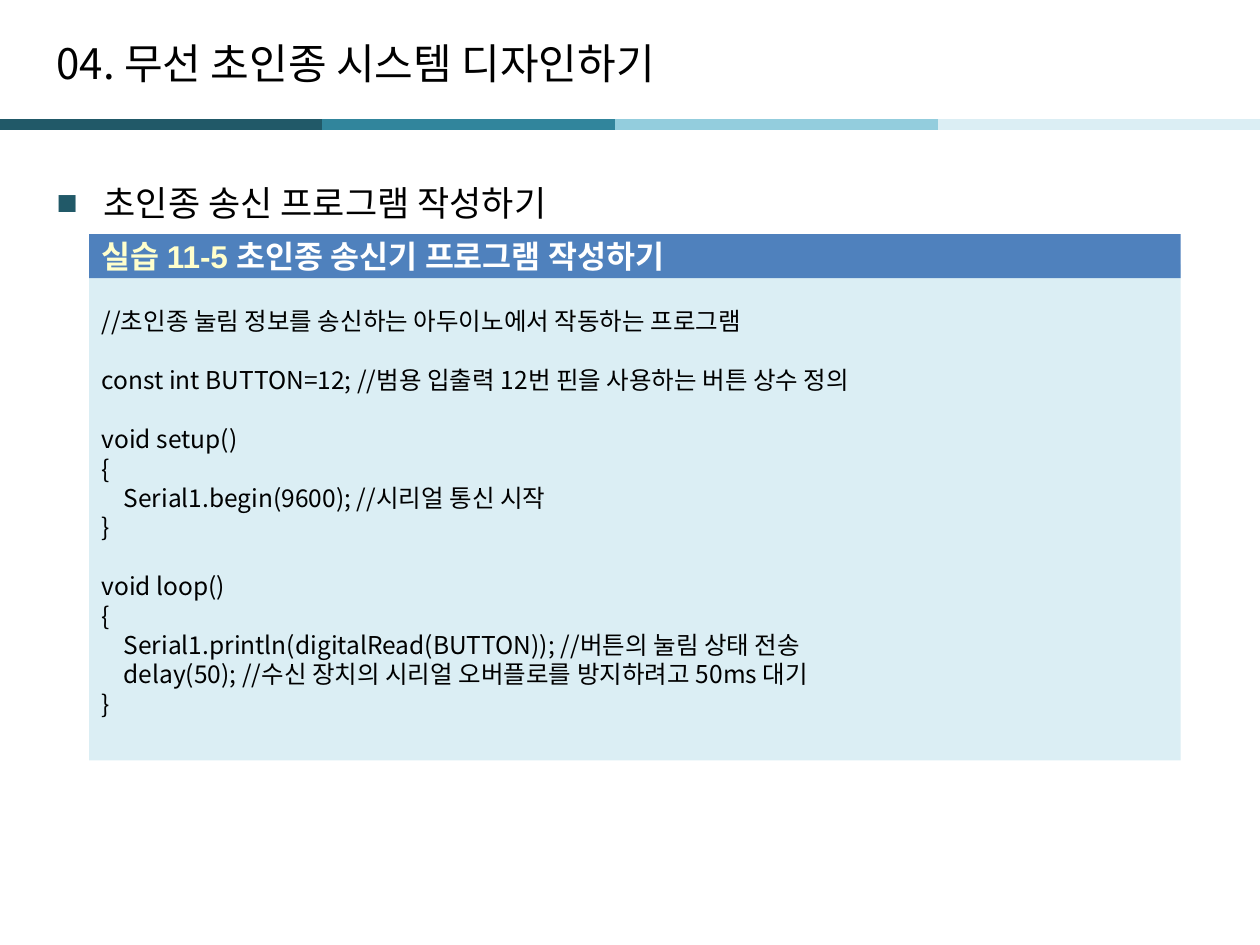
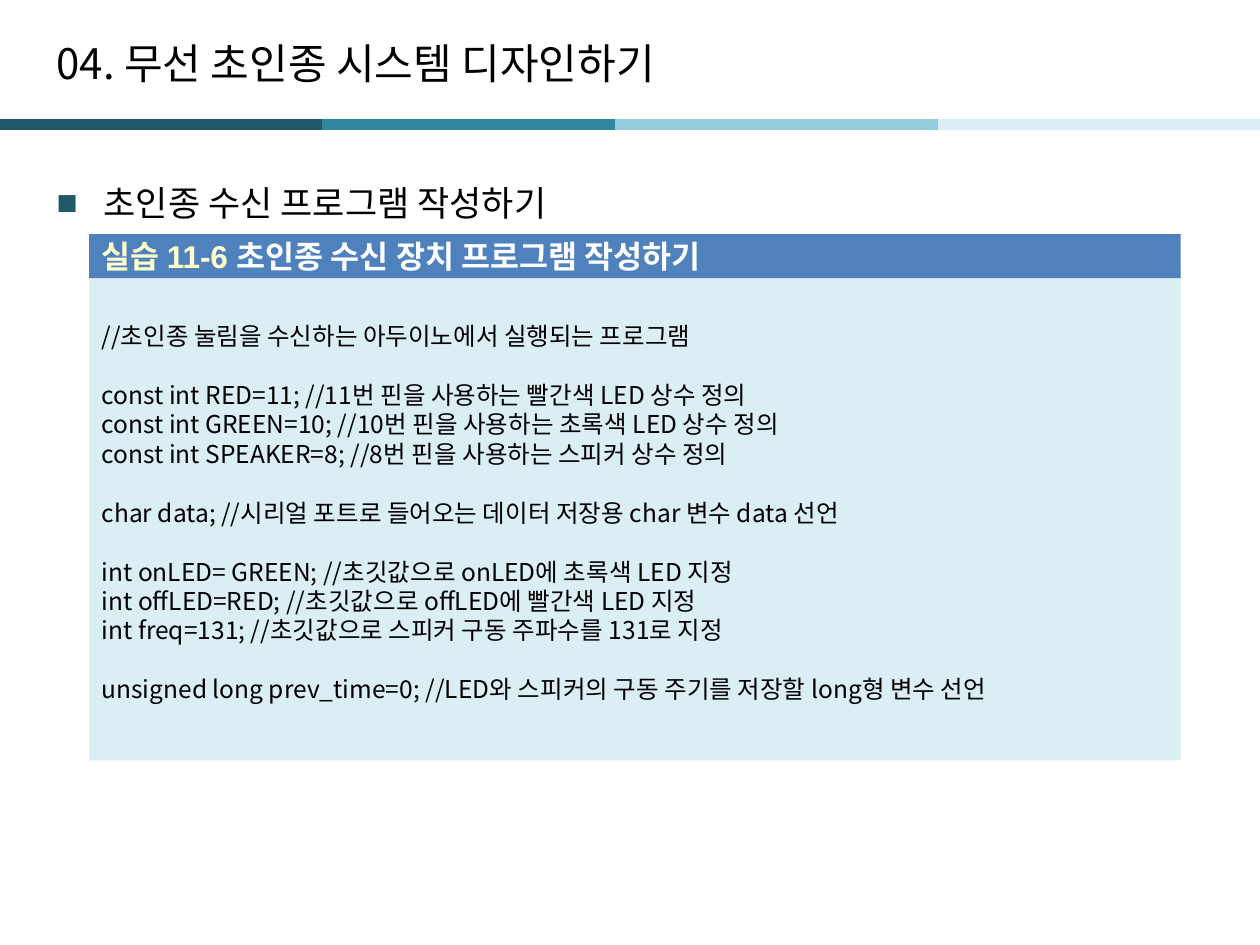
from lxml.etree import SubElement
from pptx import Presentation
from pptx.dml.color import RGBColor
from pptx.enum.shapes import MSO_CONNECTOR, MSO_SHAPE
from pptx.enum.text import MSO_ANCHOR, PP_ALIGN
from pptx.oxml.ns import qn
from pptx.util import Cm, Pt

COLORS = {
    "text": "000000",
    "navy": "215968",
    "teal": "31859C",
    "sky": "93CDDD",
    "pale": "DBEEF4",
    "heading": "4F81BD",
    "number": "FFFFCC",
    "white": "FFFFFF",
}
KOREAN, LATIN = "Noto Sans CJK KR", "Arial"
SLIDE_WIDTH, SLIDE_HEIGHT = 25.4, 19.05
MARGIN = 0.89
BAND_Y, BAND_LENGTH = 2.51, 6.5
PANEL_LEFT, PANEL_WIDTH = 1.8, 22
CODE_LINE = Pt(16.8)

CHAPTER = "04. 무선 초인종 시스템 디자인하기"
# Each exercise: topic, number, heading, code as blocks separated by one line
EXERCISES = [
    (
        "초인종 송신 프로그램 작성하기",
        "실습 11-5 ",
        "초인종 송신기 프로그램 작성하기",
        [
            ["//초인종 눌림 정보를 송신하는 아두이노에서 작동하는 프로그램"],
            ["const int BUTTON=12; //범용 입출력 12번 핀을 사용하는 버튼 상수 정의"],
            ["void setup()", "{", "    Serial1.begin(9600); //시리얼 통신 시작", "}"],
            [
                "void loop()",
                "{",
                "    Serial1.println(digitalRead(BUTTON)); //버튼의 눌림 상태 전송",
                "    delay(50); //수신 장치의 시리얼 오버플로를 방지하려고 50ms 대기",
                "}",
            ],
        ],
    ),
    (
        "초인종 수신 프로그램 작성하기",
        "실습 11-6 ",
        "초인종 수신 장치 프로그램 작성하기",
        [
            ["//초인종 눌림을 수신하는 아두이노에서 실행되는 프로그램"],
            [
                "const int RED=11; //11번 핀을 사용하는 빨간색 LED 상수 정의",
                "const int GREEN=10; //10번 핀을 사용하는 초록색 LED 상수 정의",
                "const int SPEAKER=8; //8번 핀을 사용하는 스피커 상수 정의",
            ],
            ["char data; //시리얼 포트로 들어오는 데이터 저장용 char 변수 data 선언"],
            [
                "int onLED= GREEN; //초깃값으로 onLED에 초록색 LED 지정",
                "int offLED=RED; //초깃값으로 offLED에 빨간색 LED 지정",
                "int freq=131; //초깃값으로 스피커 구동 주파수를 131로 지정",
            ],
            ["unsigned long prev_time=0; //LED와 스피커의 구동 주기를 저장할 long형 변수 선언"],
        ],
    ),
]


class Deck:
    def __init__(self):
        self.presentation = Presentation()
        self.presentation.slide_width = Cm(SLIDE_WIDTH)
        self.presentation.slide_height = Cm(SLIDE_HEIGHT)
        self.slide = None

    def color(self, name):
        return RGBColor.from_string(COLORS[name])

    def new_slide(self):
        blank = self.presentation.slide_layouts[6]
        self.slide = self.presentation.slides.add_slide(blank)
        self.band()
        self.title()

    def run(self, paragraph, text, size, color="text", latin=KOREAN, bold=False):
        run = paragraph.add_run()
        run.text = text
        run.font.size = Pt(size)
        run.font.name = latin
        run.font.bold = bold
        run.font.color.rgb = self.color(color)
        SubElement(run.font._element, qn("a:ea"), typeface=KOREAN)

    def band(self):
        """Draw the segments from the right; the first colour lies on top."""
        right = SLIDE_WIDTH
        for name in ("pale", "sky", "teal"):
            self.segment(right - BAND_LENGTH, right, name)
            right -= BAND_LENGTH
        self.segment(0, BAND_LENGTH, "navy")

    def segment(self, left, right, color):
        segment = self.slide.shapes.add_connector(
            MSO_CONNECTOR.STRAIGHT, Cm(left), Cm(BAND_Y), Cm(right), Cm(BAND_Y)
        )
        segment.line.color.rgb = self.color(color)
        segment.line.width = Pt(6)
        SubElement(segment._element.spPr, qn("a:effectLst"))

    def text_box(self, top, width, height, anchor):
        box = self.slide.shapes.add_textbox(Cm(MARGIN), Cm(top), Cm(width), Cm(height))
        frame = box.text_frame
        frame.word_wrap = True
        frame.vertical_anchor = anchor
        return frame.paragraphs[0]

    def title(self):
        self.run(self.text_box(0.51, 23.8, 1.52, MSO_ANCHOR.MIDDLE), CHAPTER, 24)

    def topic(self, text):
        paragraph = self.text_box(3.12, 23.6, 15, MSO_ANCHOR.TOP)
        properties = paragraph._p.get_or_add_pPr()
        properties.set("marL", str(Cm(0.95)))
        properties.set("indent", str(-Cm(0.95)))
        bullet_color = SubElement(properties, qn("a:buClr"))
        SubElement(bullet_color, qn("a:srgbClr"), val=COLORS["navy"])
        SubElement(properties, qn("a:buFont"), typeface=LATIN)
        SubElement(properties, qn("a:buChar"), char="■")
        paragraph.line_spacing = Pt(36)
        self.run(paragraph, text, 20)

    def panel(self, top, height, color):
        panel = self.slide.shapes.add_shape(
            MSO_SHAPE.RECTANGLE, Cm(PANEL_LEFT), Cm(top), Cm(PANEL_WIDTH), Cm(height)
        )
        panel.shadow.inherit = False
        panel.fill.solid()
        panel.fill.fore_color.rgb = self.color(color)
        panel.line.fill.background()
        frame = panel.text_frame
        frame.word_wrap = True
        frame.vertical_anchor = MSO_ANCHOR.MIDDLE
        frame.paragraphs[0].alignment = PP_ALIGN.LEFT
        return frame

    def code(self, blocks):
        frame = self.panel(5.33, 10, "pale")
        paragraph = frame.paragraphs[0]
        for block_index, block in enumerate(blocks):
            for line_index, line in enumerate(block):
                if block_index or line_index:
                    paragraph = frame.add_paragraph()
                    paragraph.alignment = PP_ALIGN.LEFT
                    paragraph.space_before = Pt(0) if line_index else CODE_LINE
                paragraph.line_spacing = CODE_LINE
                self.run(paragraph, line, 14)

    def heading(self, number, text):
        paragraph = self.panel(4.72, 0.89, "heading").paragraphs[0]
        self.run(paragraph, number, 18, "number", LATIN, True)
        self.run(paragraph, text, 18, "white", LATIN, True)


def main():
    deck = Deck()
    for topic, number, heading, code_blocks in EXERCISES:
        deck.new_slide()
        deck.topic(topic)
        deck.code(code_blocks)
        deck.heading(number, heading)
    deck.presentation.save("out.pptx")


if __name__ == "__main__":
    main()
